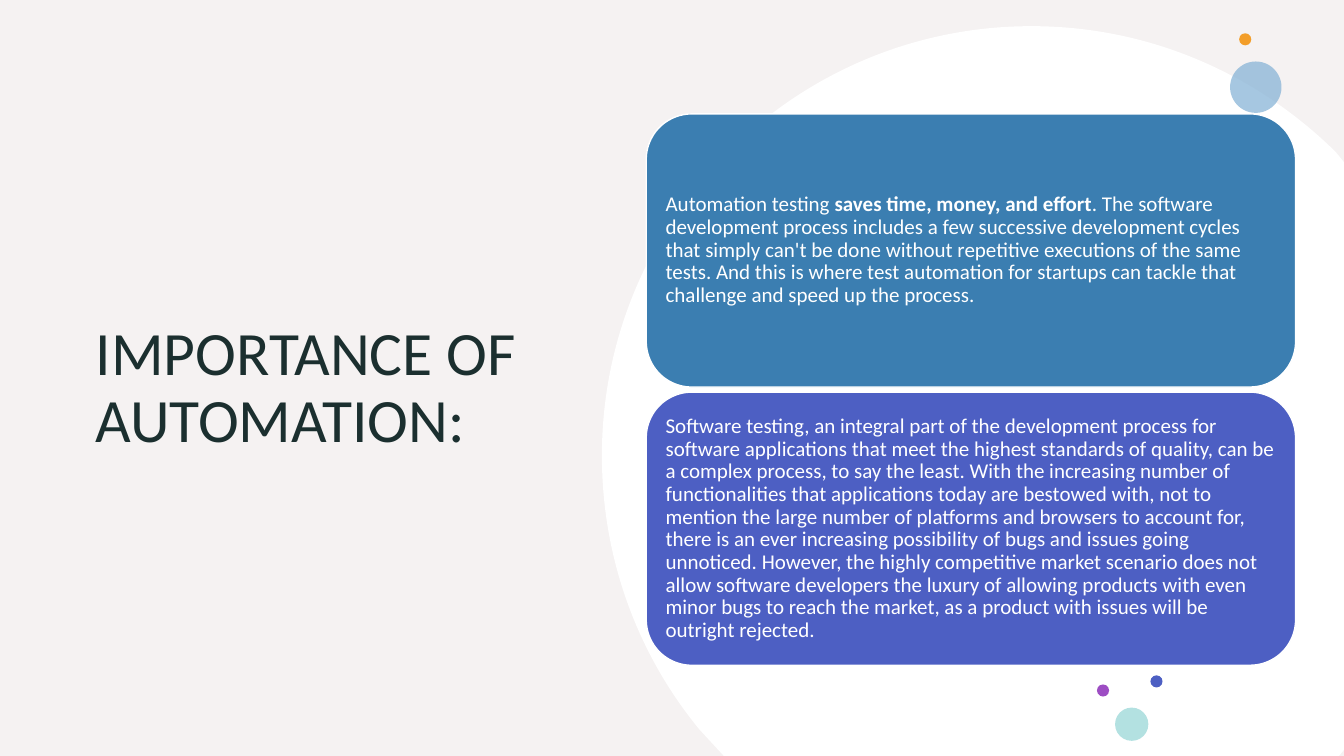
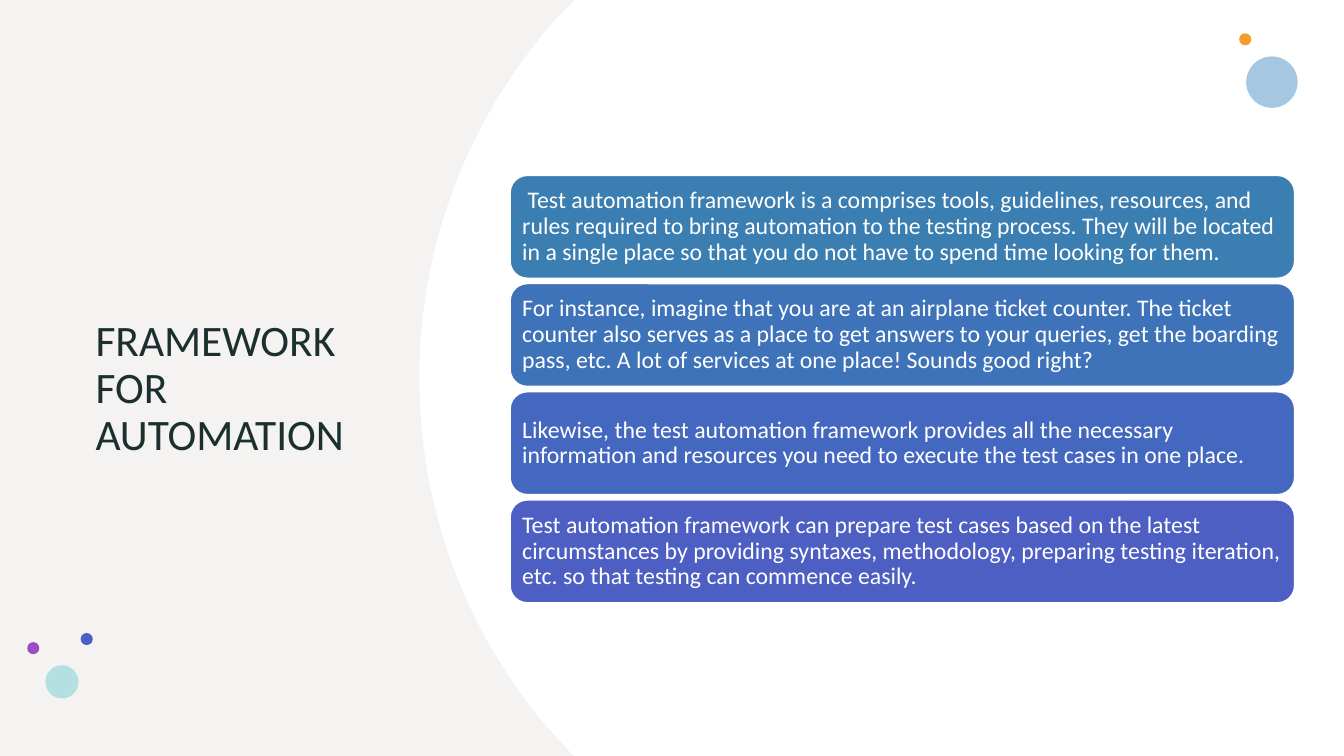
from dataclasses import dataclass

from pptx import Presentation
from pptx.dml.color import RGBColor
from pptx.enum.shapes import MSO_SHAPE
from pptx.enum.text import MSO_ANCHOR, PP_ALIGN
from pptx.oxml.ns import qn
from pptx.util import Inches, Pt
from lxml.etree import SubElement

WIDTH, HEIGHT = 13.33, 7.5
FONT = "Calibri"
WHITE, INK, VEIL = "FFFFFF", "1B2F2F", "DED5D5"
BLUE, SKY, ROYAL, INDIGO = "3B7EB1", "3E73BA", "4468C0", "4D5FC3"
PALE_BLUE, ORANGE, MINT, PURPLE = "84B2D6", "F39E29", "B3E1E1", "9D4DC3"
DOT = 0.12

Point = tuple[float, float]


@dataclass
class Bubble:
    x: float
    y: float
    size: float
    color: str
    opacity: int = 100


@dataclass
class Title:
    text: str
    width: float
    size: float


@dataclass
class Disc:
    """A cropped circle: a step of one point is a line, of three a curve."""
    start: Point
    steps: list[list[Point]]


@dataclass
class Card:
    color: str
    runs: list[tuple[str, bool]]


@dataclass
class Stack:
    """Equal cards spread evenly from y down to bottom."""
    x: float
    y: float
    width: float
    height: float
    bottom: float
    size: float
    inset: float
    cards: list[Card]


@dataclass
class Page:
    title: Title
    disc: Disc
    pale_bubble: Point
    cluster: Point
    stack: Stack


def rgb(color: str) -> RGBColor:
    return RGBColor.from_string(color)


def paint(shape, color: str, line: str | None = None, opacity: int = 100) -> None:
    shape.shadow.inherit = False
    shape.fill.solid()
    shape.fill.fore_color.rgb = rgb(color)
    if opacity < 100:
        clr = shape.fill._xPr.find(qn("a:solidFill"))[0]
        SubElement(clr, qn("a:alpha")).set("val", str(opacity * 1000))
    if line:
        shape.line.color.rgb = rgb(line)
        shape.line.width = Pt(1)
    else:
        shape.line.fill.background()


def write(shape, runs: list[tuple[str, bool]], size: float, color: str, inset: float) -> None:
    tf = shape.text_frame
    frame = {"word_wrap": True, "vertical_anchor": MSO_ANCHOR.MIDDLE}
    frame |= {f"margin_{side}": Inches(inset) for side in ("left", "top", "right", "bottom")}
    for name, value in frame.items():
        setattr(tf, name, value)
    p = tf.paragraphs[0]
    p.alignment, p.line_spacing = PP_ALIGN.LEFT, 0.9
    for text, bold in runs:
        r = p.add_run()
        r.text = text
        for name, value in {"name": FONT, "size": Pt(size), "bold": bold}.items():
            setattr(r.font, name, value)
        r.font.color.rgb = rgb(color)


def add_shape(s, kind, x: float, y: float, width: float, height: float):
    return s.shapes.add_shape(kind, Inches(x), Inches(y), Inches(width), Inches(height))


def add_disc(s, disc: Disc) -> None:
    """Build the outline from straight segments, then join triples into curves."""
    outline = s.shapes.build_freeform(*map(Inches, disc.start))
    points = [(Inches(x), Inches(y)) for step in disc.steps for x, y in step]
    outline.add_line_segments(points, close=True)
    sp = outline.convert_to_shape()
    lines = iter(list(sp._element.iter(qn("a:lnTo"))))
    for step in disc.steps:
        first, *rest = [next(lines) for _ in step]
        if rest:
            first.tag = qn("a:cubicBezTo")
            for line in rest:
                first.append(line[0])
                line.getparent().remove(line)
    paint(sp, WHITE)


def add_bubbles(s, pale: Point, cluster: Point) -> None:
    x, y = cluster
    bubbles = [
        Bubble(*pale, 0.51, PALE_BLUE, 72),
        Bubble(12.29, 0.33, DOT, ORANGE),
        Bubble(x + 0.53, y, DOT, INDIGO),
        Bubble(x + 0.18, y + 0.32, 0.33, MINT),
        Bubble(x, y + 0.09, DOT, PURPLE),
    ]
    for b in bubbles:
        sp = add_shape(s, MSO_SHAPE.OVAL, b.x, b.y, b.size, b.size)
        paint(sp, b.color, opacity=b.opacity)


def add_title(s, title: Title) -> None:
    sp = s.shapes.add_textbox(Inches(0.85), Inches(1.04), Inches(title.width), Inches(5.64))
    write(sp, [(title.text, False)], title.size, INK, 0.1)


def add_stack(s, stack: Stack) -> None:
    pitch = (stack.bottom - stack.height - stack.y) / (len(stack.cards) - 1)
    for i, card in enumerate(stack.cards):
        sp = add_shape(s, MSO_SHAPE.ROUNDED_RECTANGLE, stack.x, stack.y + i * pitch,
                       stack.width, stack.height)
        paint(sp, card.color, line=WHITE)
        write(sp, card.runs, stack.size, WHITE, stack.inset)


def add_page(prs, page: Page) -> None:
    s = prs.slides.add_slide(prs.slide_layouts[6])
    s.background.fill.solid()
    s.background.fill.fore_color.rgb = rgb(WHITE)
    paint(add_shape(s, MSO_SHAPE.RECTANGLE, 0, 0, WIDTH, HEIGHT), VEIL, opacity=30)
    add_disc(s, page.disc)
    add_bubbles(s, page.pale_bubble, page.cluster)
    add_title(s, page.title)
    add_stack(s, page.stack)


IMPORTANCE = Page(
    Title("IMPORTANCE OF AUTOMATION:", 5.04, 44),
    Disc((10.23, 0.26), [
        [(11.41, 0.26), (12.47, 0.74), (13.25, 1.51)],
        [(13.33, 1.61)], [(13.33, 7.44)], [(13.28, 7.5)], [(7.18, 7.5)], [(6.94, 7.24)],
        [(6.33, 6.5), (5.97, 5.55), (5.97, 4.52)],
        [(5.97, 2.17), (7.88, 0.26), (10.23, 0.26)],
    ]),
    pale_bubble=(12.2, 0.61),
    cluster=(10.88, 6.7),
    stack=Stack(6.41, 1.13, 6.44, 2.71, 6.6, 15, 0.06, [
        Card(BLUE, [
            ("Automation testing ", False),
            ("saves time, money, and effort", True),
            (". The software development process includes a few successive development "
             "cycles that simply can't be done without repetitive executions of the same "
             "tests. And this is where test automation for startups can tackle that "
             "challenge and speed up the process.", False),
        ]),
        Card(INDIGO, [(
            "Software testing, an integral part of the development process for software "
            "applications that meet the highest standards of quality, can be a complex "
            "process, to say the least. With the increasing number of functionalities that "
            "applications today are bestowed with, not to mention the large number of "
            "platforms and browsers to account for, there is an ever increasing possibility "
            "of bugs and issues going unnoticed. However, the highly competitive market "
            "scenario does not allow software developers the luxury of allowing products "
            "with even minor bugs to reach the market, as a product with issues will be "
            "outright rejected.", False)]),
    ]),
)

FRAMEWORK = Page(
    Title("FRAMEWORK FOR AUTOMATION", 3.13, 31),
    Disc((5.7, 0), [
        [(13.33, 0)], [(13.33, 7.5)], [(5.69, 7.5)], [(5.39, 7.17)],
        [(4.62, 6.24), (4.16, 5.05), (4.16, 3.75)],
        [(4.16, 2.36), (4.69, 1.1), (5.56, 0.14)],
    ]),
    pale_bubble=(12.36, 0.56),
    cluster=(0.27, 6.28),
    stack=Stack(5.06, 1.74, 7.78, 1.02, 5.98, 17, 0.07, [
        Card(BLUE, [(
            " Test automation framework is a comprises tools, guidelines, resources, and "
            "rules required to bring automation to the testing process. They will be "
            "located in a single place so that you do not have to spend time looking for "
            "them.", False)]),
        Card(SKY, [(
            "For instance, imagine that you are at an airplane ticket counter. The ticket "
            "counter also serves as a place to get answers to your queries, get the "
            "boarding pass, etc. A lot of services at one place! Sounds good right?", False)]),
        Card(ROYAL, [(
            "Likewise, the test automation framework provides all the necessary information "
            "and resources you need to execute the test cases in one place.", False)]),
        Card(INDIGO, [(
            "Test automation framework can prepare test cases based on the latest "
            "circumstances by providing syntaxes, methodology, preparing testing iteration, "
            "etc. so that testing can commence easily.", False)]),
    ]),
)


def main() -> None:
    prs = Presentation()
    prs.slide_width, prs.slide_height = Inches(WIDTH), Inches(HEIGHT)
    for page in (IMPORTANCE, FRAMEWORK):
        add_page(prs, page)
    prs.save("out.pptx")


if __name__ == "__main__":
    main()
